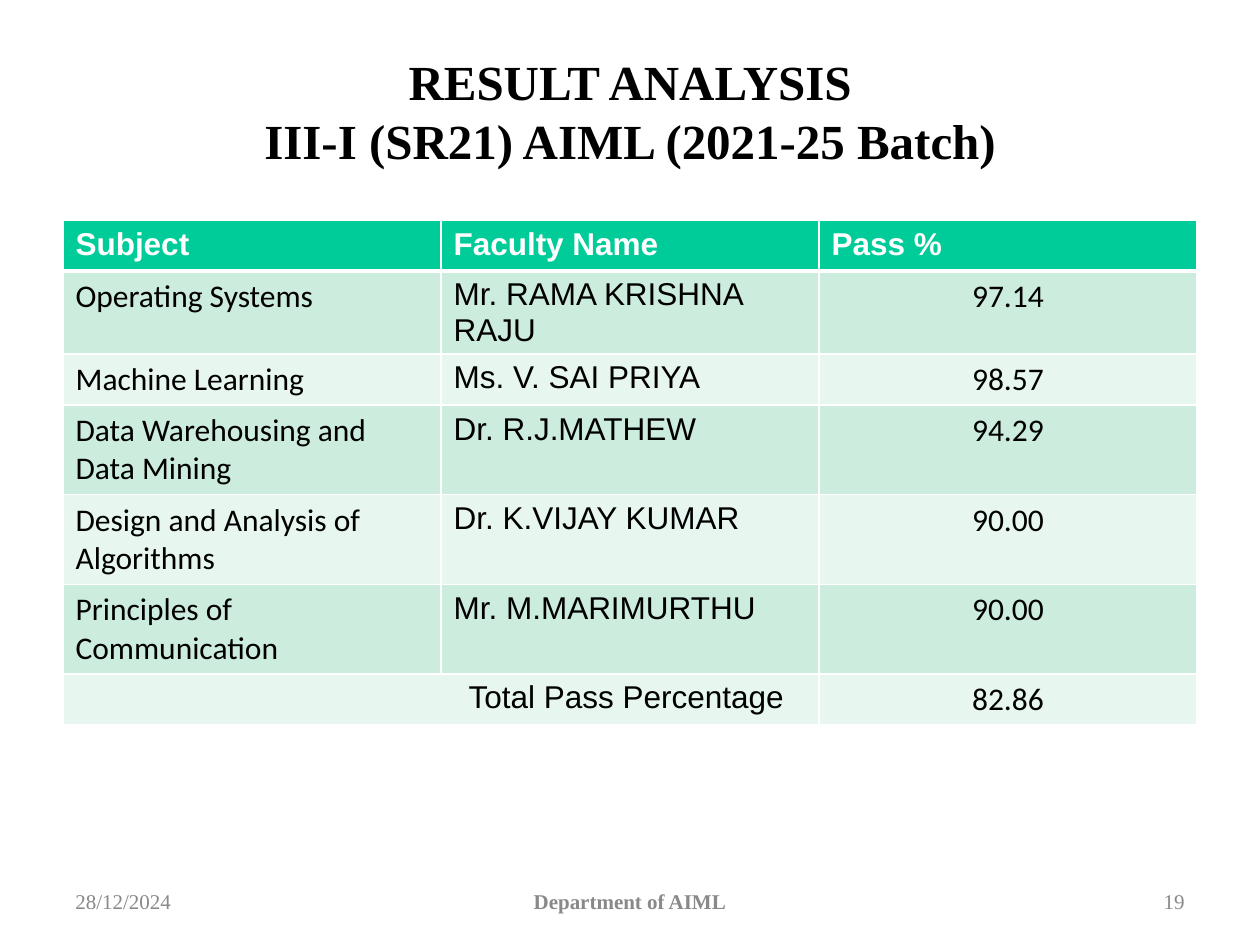
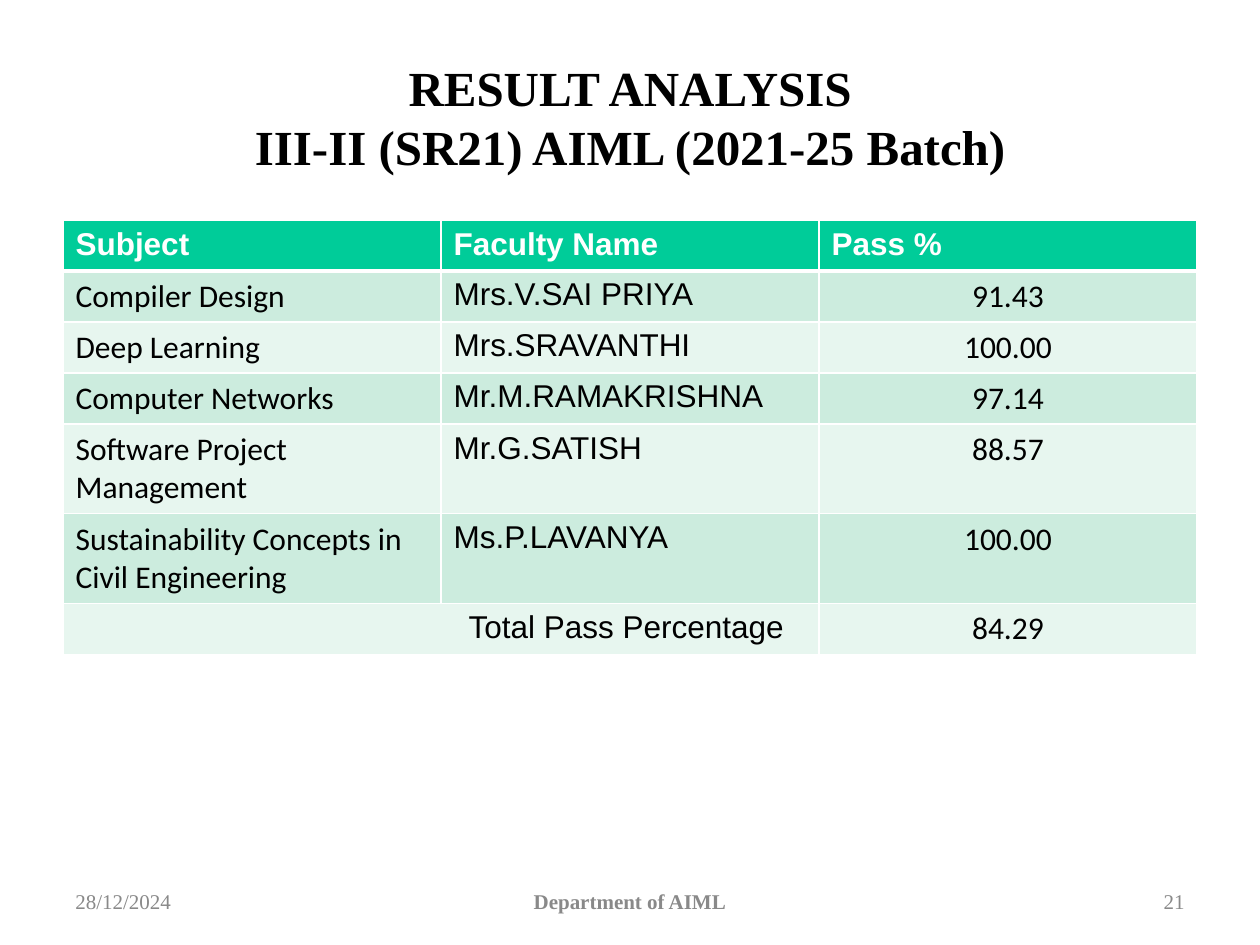
import pptx
import pptx.util
import pptx.dml.color
import pptx.enum.text
import pptx.oxml.ns
import lxml.etree

Inches, Pt = pptx.util.Inches, pptx.util.Pt
RGBColor = pptx.dml.color.RGBColor
ALIGN = pptx.enum.text.PP_ALIGN
MIDDLE = pptx.enum.text.MSO_ANCHOR.MIDDLE

# Shared colours and fonts
BLACK = RGBColor(0x00, 0x00, 0x00)
WHITE = RGBColor(0xFF, 0xFF, 0xFF)
GREY = RGBColor(0x89, 0x89, 0x89)
GREEN = RGBColor(0x00, 0xCC, 0x99)
BANDS = [RGBColor(0xCC, 0xEC, 0xDE), RGBColor(0xE7, 0xF6, 0xEF)]
SERIF, SANS, BODY = "Times New Roman", "Arial", "Calibri"

# Shared table head and footer
HEAD = ["Subject", "Faculty Name", "Pass %"]
TOTAL = "Total Pass Percentage"
DATE, DEPT = "28/12/2024", "Department of AIML"

# Per slide: title line, title top, page number, rows, total
PAGES = [
    ("III-I (SR21) AIML (2021-25 Batch)", 0.25, "19", [
        ["Operating Systems", "Mr. RAMA KRISHNA RAJU", "97.14"],
        ["Machine Learning", "Ms. V. SAI PRIYA", "98.57"],
        ["Data Warehousing and Data Mining", "Dr. R.J.MATHEW", "94.29"],
        ["Design and Analysis of Algorithms", "Dr. K.VIJAY KUMAR", "90.00"],
        ["Principles of Communication", "Mr. M.MARIMURTHU", "90.00"],
    ], "82.86"),
    ("III-II (SR21) AIML (2021-25 Batch)", 0.3, "21", [
        ["Compiler Design", "Mrs.V.SAI PRIYA", "91.43"],
        ["Deep Learning", "Mrs.SRAVANTHI", "100.00"],
        ["Computer Networks", "Mr.M.RAMAKRISHNA", "97.14"],
        ["Software Project Management", "Mr.G.SATISH", "88.57"],
        ["Sustainability Concepts in Civil Engineering", "Ms.P.LAVANYA", "100.00"],
    ], "84.29"),
]


def write(para, text, size, face, color, bold=False, align=ALIGN.LEFT):
    para.alignment = align
    run = para.add_run()
    run.text = text
    font = run.font
    font.size, font.name, font.bold = Pt(size), face, bold
    font.color.rgb = color


def edge(cell, side, width):
    props = cell._tc.get_or_add_tcPr()
    line = lxml.etree.SubElement(props, pptx.oxml.ns.qn("a:ln" + side), w=str(Pt(width)))
    fill = lxml.etree.SubElement(line, pptx.oxml.ns.qn("a:solidFill"))
    lxml.etree.SubElement(fill, pptx.oxml.ns.qn("a:srgbClr"), val=str(WHITE))


deck = pptx.Presentation()
deck.slide_width, deck.slide_height = Inches(10), Inches(7.5)

for batch, top, page, marks, score in PAGES:
    slide = deck.slides.add_slide(deck.slide_layouts[5])

    # Title
    title = slide.shapes.title
    title.left, title.top = Inches(0.5), Inches(top)
    title.width, title.height = Inches(9), Inches(1.25)
    frame = title.text_frame
    frame.vertical_anchor = MIDDLE
    frame.auto_size = pptx.enum.text.MSO_AUTO_SIZE.NONE
    para = frame.paragraphs[0]
    write(para, "RESULT ANALYSIS", 28, SERIF, BLACK, True, ALIGN.CENTER)
    para.add_line_break()
    write(para, batch, 28, SERIF, BLACK, True, ALIGN.CENTER)

    # Table: rows grow to fit their text
    rows = [HEAD] + marks + [[TOTAL, "", score]]
    count = len(rows)
    table = slide.shapes.add_table(
        count, 3, Inches(0.5), Inches(1.75), Inches(9), Inches(0.4 * count)).table
    for col in table.columns:
        col.width = Inches(3)
    for r, row in enumerate(rows):
        table.rows[r].height = Inches(0.4)
        for c, text in enumerate(row):
            cell = table.cell(r, c)
            for side in "LRTB":
                thick = (r, side) in [(0, "B"), (1, "T")]
                edge(cell, side, 3 if thick else 1)
            cell.fill.solid()
            cell.fill.fore_color.rgb = BANDS[(r - 1) % 2] if r else GREEN
            para = cell.text_frame.paragraphs[0]
            if r == 0:
                write(para, text, 18, SANS, WHITE, True)
            elif text:
                face = SANS if c == 1 or text == TOTAL else BODY
                align = ALIGN.CENTER if c == 2 else ALIGN.LEFT
                write(para, text, 18, face, BLACK, False, align)

    # Total label spans two columns, set under the faculty names
    label = table.cell(count - 1, 0)
    label.merge(table.cell(count - 1, 1))
    label.margin_right = Inches(0.28)
    label.text_frame.paragraphs[0].alignment = ALIGN.RIGHT

    # Footer
    for left, width, text, bold, align in [
            (0.5, 2.33, DATE, False, ALIGN.LEFT),
            (3.42, 3.16, DEPT, True, ALIGN.CENTER),
            (7.17, 2.33, page, False, ALIGN.RIGHT)]:
        box = slide.shapes.add_textbox(Inches(left), Inches(6.95), Inches(width), Inches(0.4))
        frame = box.text_frame
        frame.word_wrap = True
        frame.vertical_anchor = MIDDLE
        write(frame.paragraphs[0], text, 12, SERIF, GREY, bold, align)

deck.save("out.pptx")
